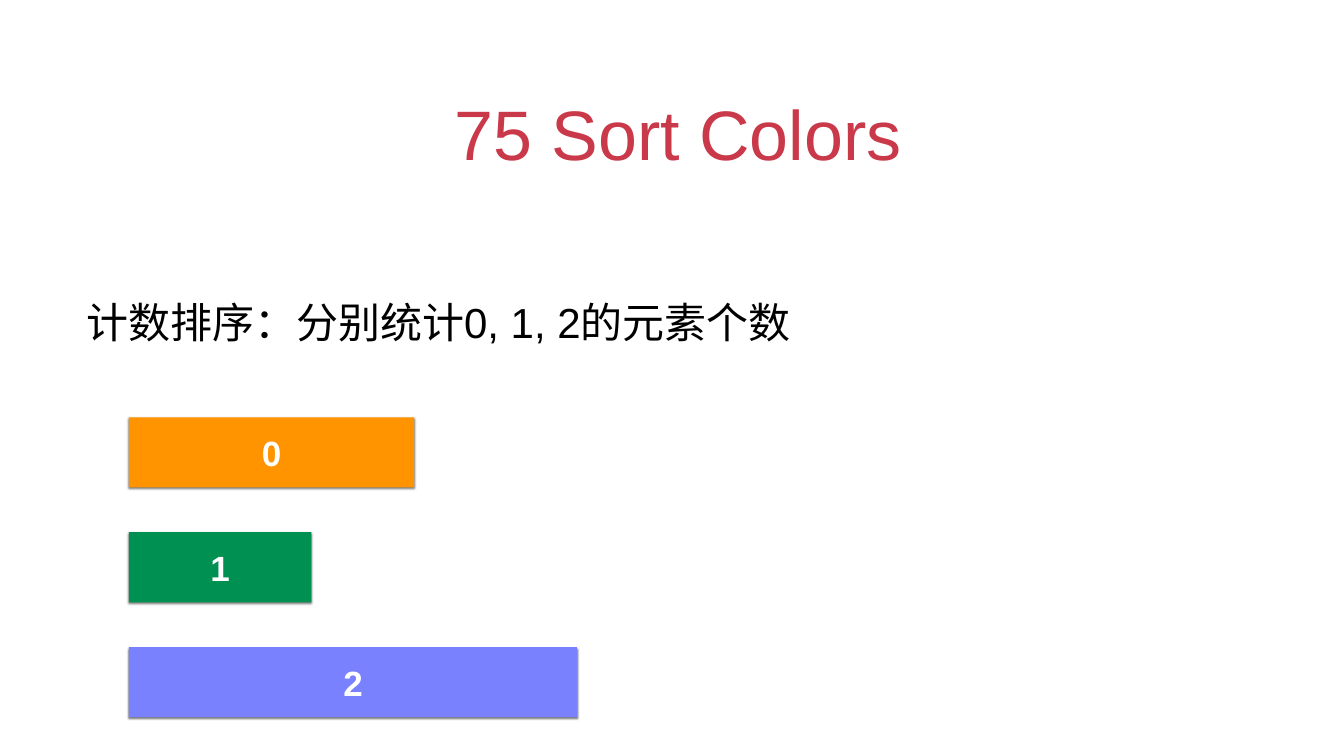
from dataclasses import dataclass

from lxml import etree
from pptx import Presentation
from pptx import util as u
from pptx.dml.color import RGBColor
from pptx.enum import shapes, text
from pptx.oxml.ns import qn


@dataclass(frozen=True)
class Theme:
    font: str = "Arial"
    title: str = "C9394A"
    body: str = "000000"
    label: str = "FFFFFF"
    shade: str = "000000"
    bars: tuple = ("FF9300", "009051", "7A81FF")
    title_pt: int = 100
    body_pt: int = 60
    label_pt: int = 50


THEME = Theme()


def write(shape, words, size, color, align, anchor, bold=False):
    """Fill a shape with one styled paragraph and return the paragraph."""
    frame = shape.text_frame
    frame.word_wrap = True
    frame.auto_size = text.MSO_AUTO_SIZE.NONE
    frame.vertical_anchor = anchor
    frame.margin_left = frame.margin_right = u.Inches(0.06)
    frame.margin_top = frame.margin_bottom = u.Inches(0.06)
    para = frame.paragraphs[0]
    para.text = words
    para.alignment = align
    para.font.name = THEME.font
    para.font.size = u.Pt(size)
    para.font.bold = bold
    para.font.color.rgb = RGBColor.from_string(color)
    return para


def shade(shape):
    """Give a shape a soft shadow straight below it."""
    shape.shadow.inherit = False
    effects = shape._element.spPr.find(qn("a:effectLst"))
    drop = etree.SubElement(effects, qn("a:outerShdw"), blurRad=str(u.Pt(3)),
                            dist=str(u.Pt(2)), dir="5400000", rotWithShape="0")
    color = etree.SubElement(drop, qn("a:srgbClr"), val=THEME.shade)
    etree.SubElement(color, qn("a:alpha"), val="50000")


def add_title(slide, words, left, top, width, height):
    title = slide.shapes.title
    title.left, title.top = u.Inches(left), u.Inches(top)
    title.width, title.height = u.Inches(width), u.Inches(height)
    para = write(title, words, THEME.title_pt, THEME.title,
                 text.PP_ALIGN.CENTER, text.MSO_ANCHOR.BOTTOM)
    props = para._p.get_or_add_pPr()
    props.set("marL", "0")
    props.set("indent", str(u.Inches(0.25)))


def add_lead(slide, words, left, top, width, height):
    box = slide.shapes.add_textbox(*map(u.Inches, (left, top, width, height)))
    para = write(box, words, THEME.body_pt, THEME.body,
                 text.PP_ALIGN.LEFT, text.MSO_ANCHOR.MIDDLE)
    para.line_spacing = 1.5


def add_bars(slide, widths, left, top, height, pitch):
    """Stack one bar per value, each as long as its count."""
    for value, (width, color) in enumerate(zip(widths, THEME.bars)):
        box = (left, top + value * pitch, width, height)
        bar = slide.shapes.add_shape(shapes.MSO_SHAPE.RECTANGLE,
                                     *map(u.Inches, box))
        bar.fill.solid()
        bar.fill.fore_color.rgb = RGBColor.from_string(color)
        bar.line.fill.background()
        shade(bar)
        write(bar, str(value), THEME.label_pt, THEME.label,
              text.PP_ALIGN.CENTER, text.MSO_ANCHOR.MIDDLE, bold=True)


def main():
    deck = Presentation()
    deck.slide_width, deck.slide_height = u.Inches(26.67), u.Inches(15)
    slide = deck.slides.add_slide(deck.slide_layouts.get_by_name("Title Only"))

    # Heading and explanation
    add_title(slide, "75 Sort Colors", 1.94, 1.3, 22.78, 2.22)
    add_lead(slide, "计数排序：分别统计0, 1, 2的元素个数", 1.65, 5.5, 22.78, 1.28)

    # Counts of 0, 1 and 2
    add_bars(slide, (5.66, 3.62, 8.89), left=2.56, top=8.28, height=1.39,
             pitch=2.28)

    deck.save("out.pptx")


if __name__ == "__main__":
    main()
